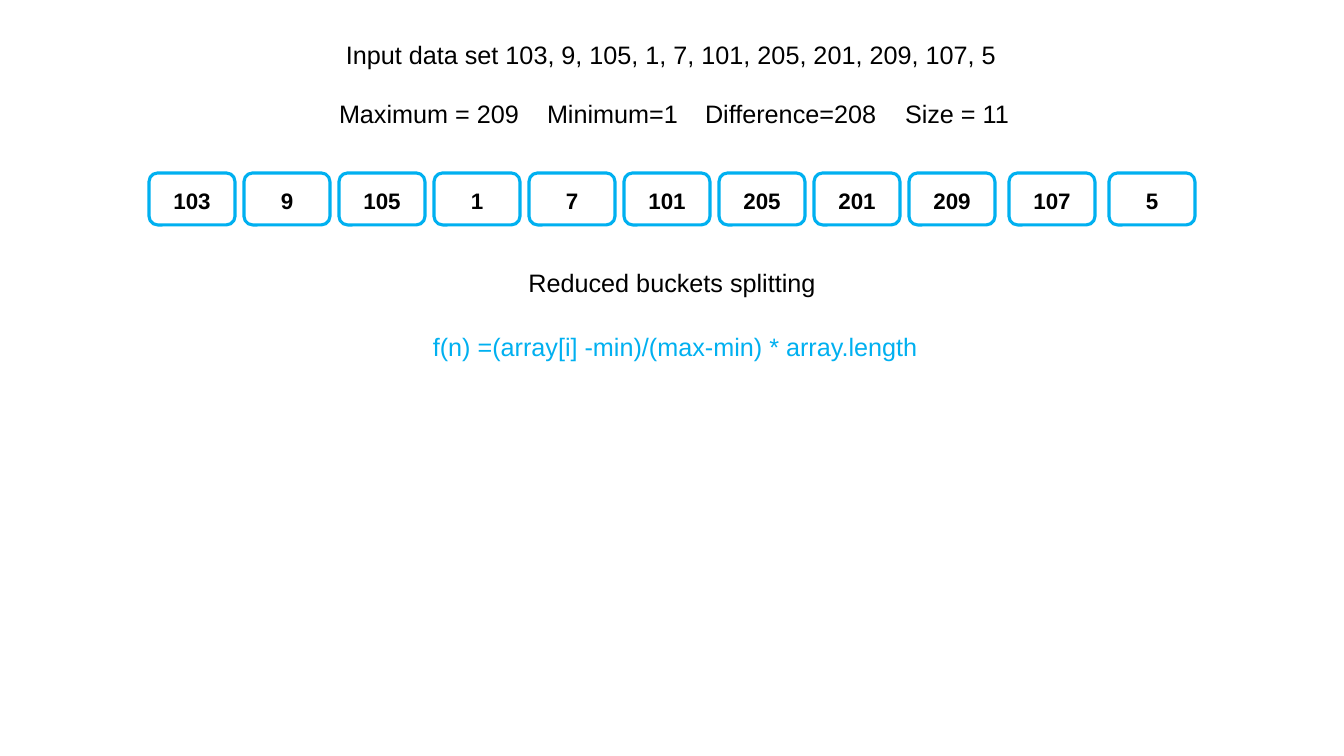
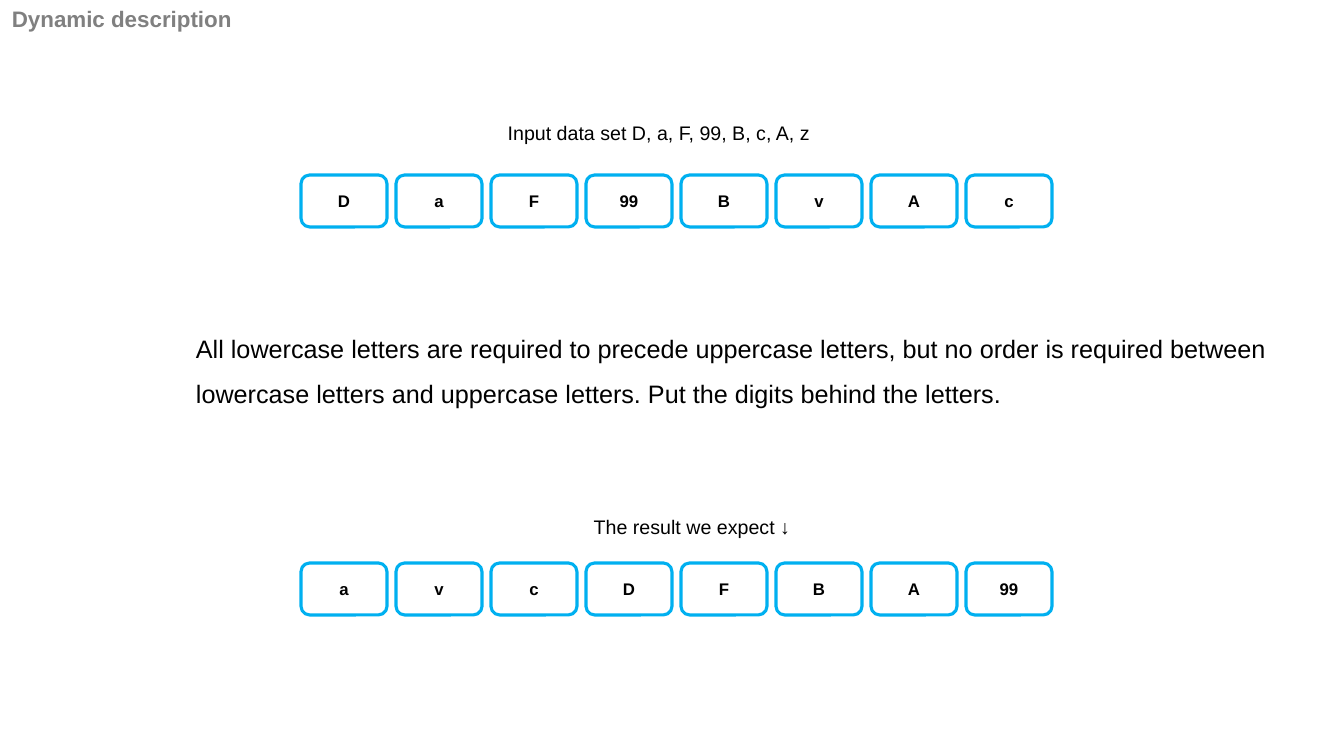
"""Builds two slides on bucket sorting: splitting numbers, then grouping letters."""
from lxml import etree
from pptx import Presentation
from pptx.dml.color import RGBColor
from pptx.enum.shapes import MSO_SHAPE
from pptx.enum.text import MSO_ANCHOR, PP_ALIGN
from pptx.oxml.ns import qn
from pptx.util import Emu, Pt

BLACK = RGBColor(0x00, 0x00, 0x00)
BLUE = RGBColor(0x00, 0xB0, 0xF0)
GRAY = RGBColor(0x80, 0x80, 0x80)
FONT = "Arial"
LEFT = PP_ALIGN.LEFT
CENTER = PP_ALIGN.CENTER
MIDDLE = MSO_ANCHOR.MIDDLE
ROUNDED = MSO_SHAPE.ROUNDED_RECTANGLE

SLIDE_WIDTH, SLIDE_HEIGHT = 1344, 756
CELL_WIDTH, CELL_HEIGHT, CELL_PITCH = 86, 52, 95


def px(length):
    """Turns picture pixels into EMU."""
    return Emu(round(length * 914400 / 100.8))


def style(para, size, color=BLACK, bold=False, align=LEFT):
    """Sets the alignment and font of a paragraph."""
    para.alignment = align
    para.font.name = FONT
    para.font.size = Pt(size)
    para.font.bold = bold
    para.font.color.rgb = color


def add_text(page, text, left, top, width, height, size, spacing=None, **look):
    """Adds a wrapped text box with one paragraph and returns the box."""
    box = page.shapes.add_textbox(px(left), px(top), px(width), px(height))
    box.text_frame.word_wrap = True
    para = box.text_frame.paragraphs[0]
    para.text = text
    if spacing:
        para.line_spacing = spacing
    style(para, size, **look)
    return box


def add_columns(page, texts, starts, left, top, width, height, size):
    """Adds one line of texts, each starting at its own distance from the box edge."""
    box = add_text(page, "\t".join(texts), left, top, width, height, size)
    box.text_frame.margin_left = px(starts[0])
    properties = box.text_frame.paragraphs[0].font._element.getparent()
    tabs = etree.Element(qn("a:tabLst"))
    for start in starts[1:]:
        position = str(px(start - starts[0]))
        etree.SubElement(tabs, qn("a:tab"), pos=position, algn="l")
    properties.insert(0, tabs)


def add_cells(page, values, left, top, size, pitch=CELL_PITCH, text_drop=0):
    """Adds a row of outlined array cells at an equal pitch."""
    for index, value in enumerate(values):
        cell = page.shapes.add_shape(ROUNDED, px(left + index * pitch), px(top),
                                     px(CELL_WIDTH), px(CELL_HEIGHT))
        cell.shadow.inherit = False
        cell.fill.background()
        cell.line.color.rgb = BLUE
        cell.line.width = Pt(2.25)
        frame = cell.text_frame
        frame.vertical_anchor = MIDDLE
        frame.margin_left = frame.margin_right = frame.margin_bottom = 0
        frame.margin_top = px(2 * text_drop)
        para = frame.paragraphs[0]
        para.text = value
        style(para, size, bold=True, align=CENTER)


def build_number_slide(page):
    """Shows the numbers, their range and the bucket formula."""
    numbers = ["103", "9", "105", "1", "7", "101", "205", "201", "209", "107", "5"]
    add_text(page, "Input data set " + ", ".join(numbers),
             304, 34, 734, 102, 18, align=CENTER)
    add_columns(page, ["Maximum = 209", "Minimum=1", "Difference=208", "Size = 11"],
                [64, 272, 430, 630], 275, 93, 797, 72, 18)
    add_cells(page, numbers[:9], 149, 173, 16, text_drop=2)
    add_cells(page, numbers[9:], 1009, 173, 16, pitch=100, text_drop=2)
    add_text(page, "Reduced buckets splitting", 464, 262, 416, 72, 18, align=CENTER)
    add_text(page, "f(n) =(array[i] -min)/(max-min) * array.length",
             423, 311, 512, 55, 18, spacing=1.5, color=BLUE)


def build_letter_slide(page):
    """Shows the letters, the ordering rule and the expected result."""
    add_text(page, "Input data set D, a, F, 99, B, c, A, z",
             292, 116, 734, 82, 14, align=CENTER)
    add_cells(page, ["D", "a", "F", "99", "B", "v", "A", "c"], 301, 175, 12)
    add_text(page, "All lowercase letters are required to precede uppercase letters, "
             "but no order is required between lowercase letters and uppercase letters. "
             "Put the digits behind the letters.",
             186, 313, 1102, 102, 18, spacing=1.5)
    add_text(page, "Dynamic description", 2, 0, 364, 65, 16, color=GRAY, bold=True)
    add_cells(page, ["a", "v", "c", "D", "F", "B", "A", "99"], 301, 563, 12)
    add_text(page, "The result we expect ↓", 499, 510, 386, 34, 14, align=CENTER)


def main():
    """Builds and saves the deck."""
    deck = Presentation()
    deck.slide_width, deck.slide_height = px(SLIDE_WIDTH), px(SLIDE_HEIGHT)
    blank = deck.slide_layouts[6]
    for build in (build_number_slide, build_letter_slide):
        build(deck.slides.add_slide(blank))
    deck.save("out.pptx")


main()
